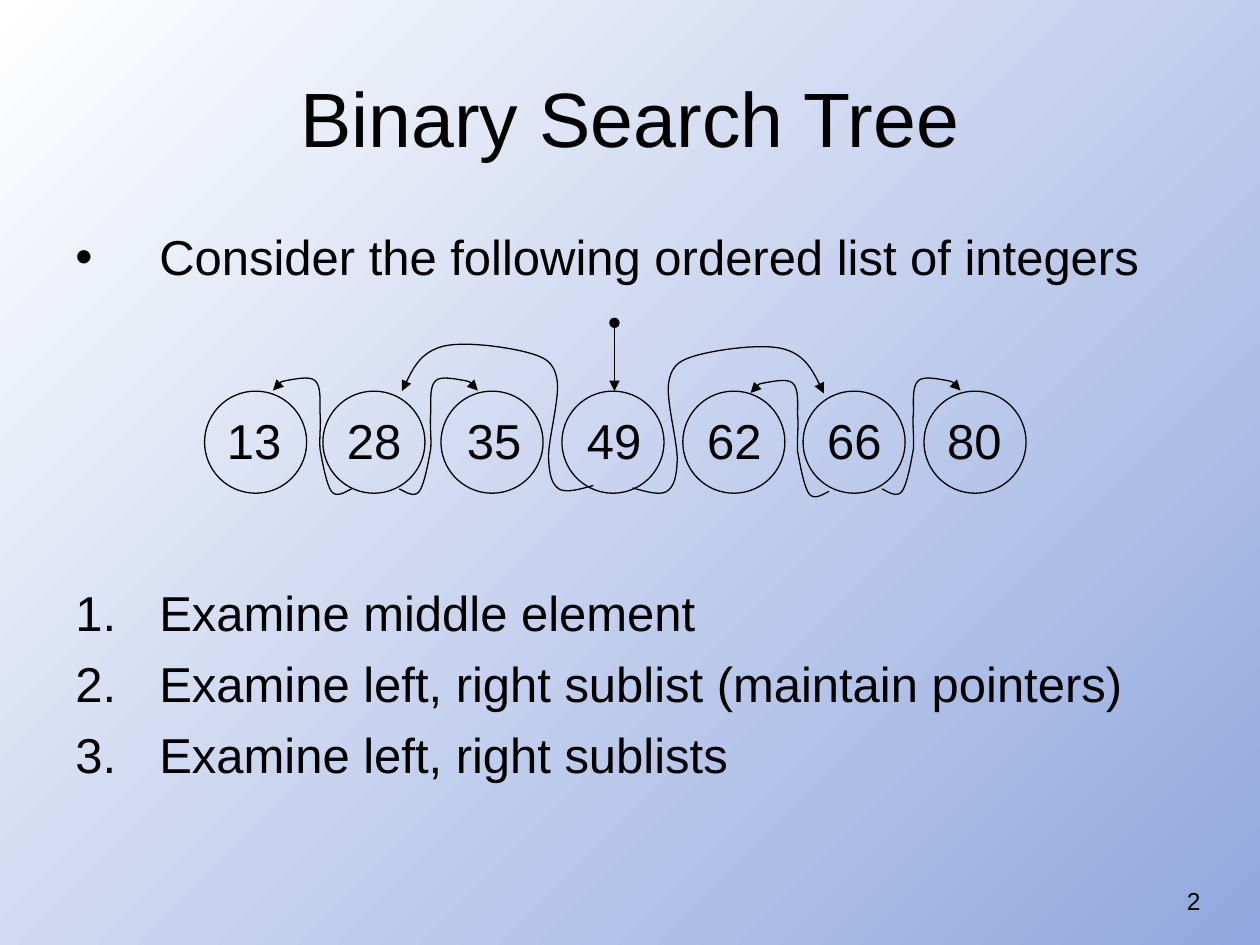
from dataclasses import dataclass

from lxml.etree import SubElement
from pptx import Presentation
from pptx.dml.color import RGBColor
from pptx.enum.shapes import MSO_CONNECTOR as Connector, MSO_SHAPE as Preset
from pptx.enum.text import MSO_ANCHOR as Anchor, PP_ALIGN as Align
from pptx.oxml.ns import qn
from pptx.util import Pt


@dataclass(frozen=True)
class Theme:
    font: str = "Arial"
    ink: RGBColor = RGBColor(0, 0, 0)
    light: RGBColor = RGBColor(0xFF, 0xFF, 0xFF)
    shade: RGBColor = RGBColor(0x92, 0xA8, 0xDE)
    title: int = 44
    body: int = 28
    number: int = 14
    line: float = 0.75


# Bezier points of the pointers, from the parent node, bending to the right
NEAR_CURVE = [
    (0, 0), (4.3, 2.2), (8.6, 5), (11.5, 1.4), (14.4, -2.9), (16.6, -15.1),
    (18, -23), (18.4, -30.2), (17.3, -37.4), (18, -43.9), (18, -50.4),
    (17.3, -59), (20.9, -61.9), (23.8, -64.8), (33.1, -62.6), (37.4, -61.9),
    (41, -61.2), (43.2, -58.3), (44.9, -56.2),
]
FAR_CURVE = [
    (0, 0), (7.9, 2.2), (15.1, 4.3), (19.4, 2.2), (23.8, -0.7), (25.2, -5.8),
    (25.6, -15.8), (25.9, -26.6), (18.7, -51.1), (20.9, -61.2), (23, -71.3),
    (28.1, -73.4), (38.9, -76.3), (50.4, -79.2), (75.6, -82.8), (87.1, -79.2),
    (98.6, -75.6), (104.4, -64.8), (109.4, -54),
]


def apply(target, values):
    for name, value in values.items():
        setattr(target, name, value)


class SlideBuilder:
    def __init__(self, slide, theme):
        self.slide = slide
        self.theme = theme

    def background(self):
        fill = self.slide.background.fill
        fill.gradient()
        fill.gradient_angle = 315
        for stop, color in zip(fill.gradient_stops,
                               (self.theme.light, self.theme.shade)):
            stop.color.rgb = color

    def bullet(self, paragraph, tag, attributes):
        properties = paragraph._p.get_or_add_pPr()
        for name, value in {"marL": Pt(48), "indent": Pt(-48)}.items():
            properties.set(name, str(value))
        color = SubElement(properties, qn("a:buClr"))
        SubElement(color, qn("a:srgbClr"), val=str(self.theme.ink))
        SubElement(properties, qn("a:buFont"), typeface=self.theme.font)
        SubElement(properties, qn(tag), attributes)

    def style(self, font, size):
        apply(font, {"name": self.theme.font, "size": Pt(size)})
        font.color.rgb = self.theme.ink

    def text(self, box, paragraphs, size, anchor=Anchor.TOP, align=Align.LEFT):
        """Each paragraph is (text, space before, bullet tag, bullet attributes)."""
        frame = self.slide.shapes.add_textbox(*map(Pt, box)).text_frame
        apply(frame, {"word_wrap": True, "vertical_anchor": anchor})
        for index, (text, before, tag, attributes) in enumerate(paragraphs):
            paragraph = frame.add_paragraph() if index else frame.paragraphs[0]
            paragraph.alignment = align
            if before:
                paragraph.space_before = Pt(before)
            if tag:
                self.bullet(paragraph, tag, attributes)
            self.style(paragraph.font, size)
            run = paragraph.add_run()
            run.text = text
            self.style(run.font, size)

    def label(self, box, text, size, anchor, align):
        self.text(box, [(text, 0, None, None)], size, anchor, align)

    def outline(self, shape, **ends):
        shape.line.color.rgb = self.theme.ink
        shape.line.width = Pt(self.theme.line)
        line = shape.line._get_or_add_ln()
        for name, kind in ends.items():
            SubElement(line, qn(f"a:{name}"), type=kind)

    def circle(self, left, top, size):
        shape = self.slide.shapes.add_shape(
            Preset.OVAL, *map(Pt, (left, top, size, size)))
        shape.shadow.inherit = False
        shape.fill.background()
        self.outline(shape)

    def arrow(self, start, end):
        connector = self.slide.shapes.add_connector(
            Connector.STRAIGHT, *map(Pt, start + end))
        self.outline(connector, headEnd="oval", tailEnd="triangle")
        SubElement(connector._element.spPr, qn("a:effectLst"))

    def pointer(self, start, curve, direction):
        x, y = start
        points = [(Pt(x + direction * dx), Pt(y + dy)) for dx, dy in curve]
        builder = self.slide.shapes.build_freeform(*points[0])
        builder.add_line_segments(points[1:], close=False)
        shape = builder.convert_to_shape()
        # Turn every three line segments into one Bezier segment
        outline = next(shape._element.iter(qn("a:path")))
        segments = outline.findall(qn("a:lnTo"))
        for first in range(0, len(segments), 3):
            bezier = SubElement(outline, qn("a:cubicBezTo"))
            for segment in segments[first:first + 3]:
                bezier.append(segment[0])
                outline.remove(segment)
        shape.shadow.inherit = False
        shape.fill.background()
        self.outline(shape, tailEnd="triangle")


def main():
    presentation = Presentation()
    apply(presentation, {"slide_width": Pt(720), "slide_height": Pt(540)})
    theme = Theme()
    slide = presentation.slides.add_slide(presentation.slide_layouts[6])
    builder = SlideBuilder(slide, theme)
    builder.background()

    # Slide number and title
    builder.label((525, 502.5, 168, 37.5), "2", theme.number,
                  Anchor.TOP, Align.RIGHT)
    builder.label((36, 21.6, 648, 90), "Binary Search Tree", theme.title,
                  Anchor.MIDDLE, Align.CENTER)

    # Introduction, then the numbered steps below the diagram
    dot = ("a:buChar", {"char": "•"})
    count = ("a:buAutoNum", {"type": "arabicPeriod"})
    builder.text((36, 126, 684, 373.7), [
        ("Consider the following ordered list of integers", 0, *dot),
        ("Examine middle element", 169.8, *count),
        ("Examine left, right sublist (maintain pointers)", 7, *count),
        ("Examine left, right sublists", 7, *count),
    ], theme.body)

    # Nodes of the ordered list
    nodes = zip((13, 28, 35, 49, 62, 66, 80),
                (116.9, 184.5, 252, 321.1, 390.2, 458.9, 528))
    for index, (value, left) in enumerate(nodes):
        builder.label((110.9 + 68.6 * index, 231.1, 68.6, 45.4), str(value),
                      theme.body, Anchor.TOP, Align.CENTER)
        builder.circle(left, 223.5, 58.3)

    # Root arrow and child pointers
    builder.arrow((351.1, 184.5), (351.1, 223.5))
    for start, curve, direction in (
        ((339.1, 277.4), FAR_CURVE, -1),
        ((361.4, 278.8), FAR_CURVE, 1),
        ((228.2, 279.4), NEAR_CURVE, 1),
        ((504, 279.4), NEAR_CURVE, 1),
        ((200.9, 279.4), NEAR_CURVE, -1),
        ((473.8, 280.8), NEAR_CURVE, -1),
    ):
        builder.pointer(start, curve, direction)

    presentation.save("out.pptx")


if __name__ == "__main__":
    main()
